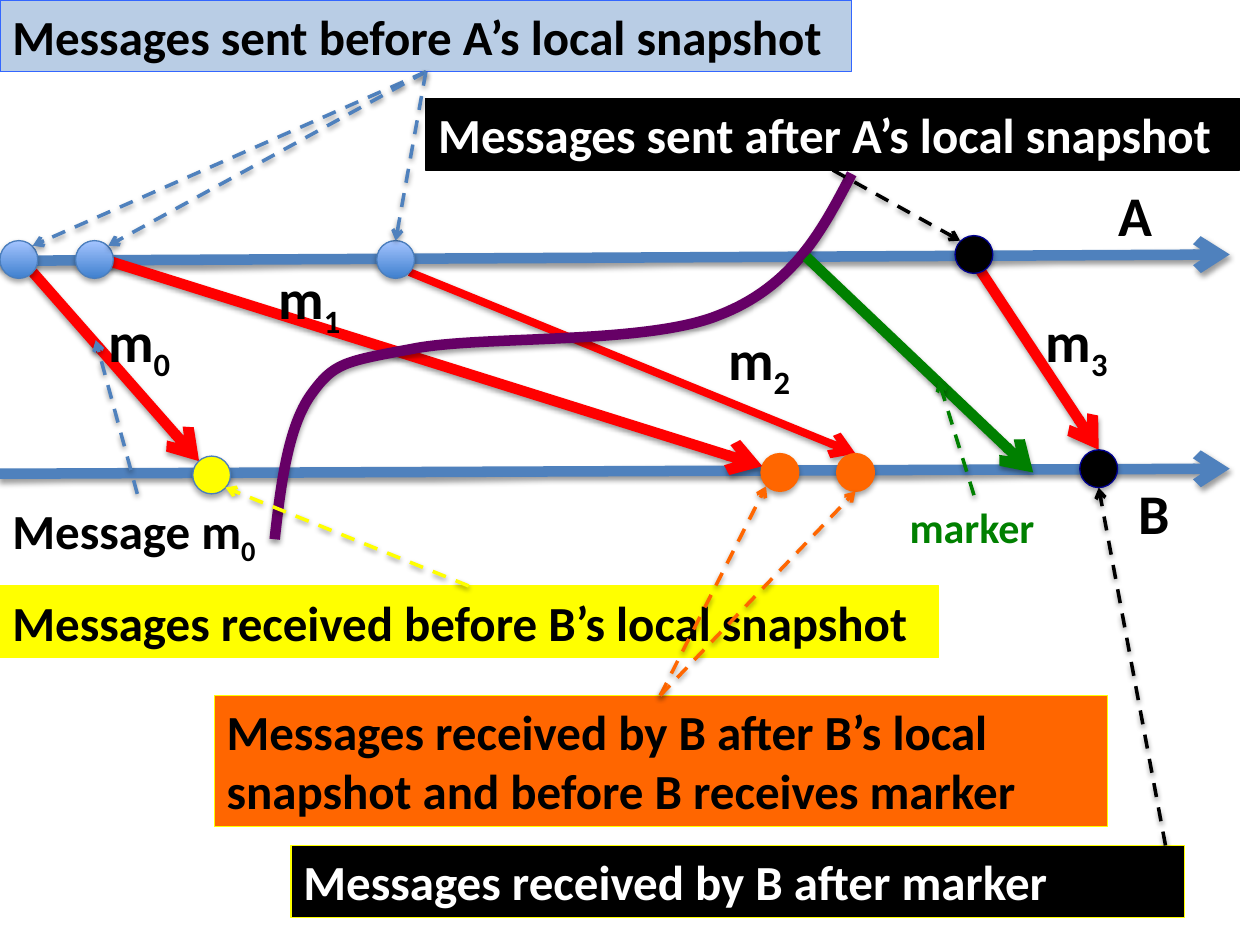
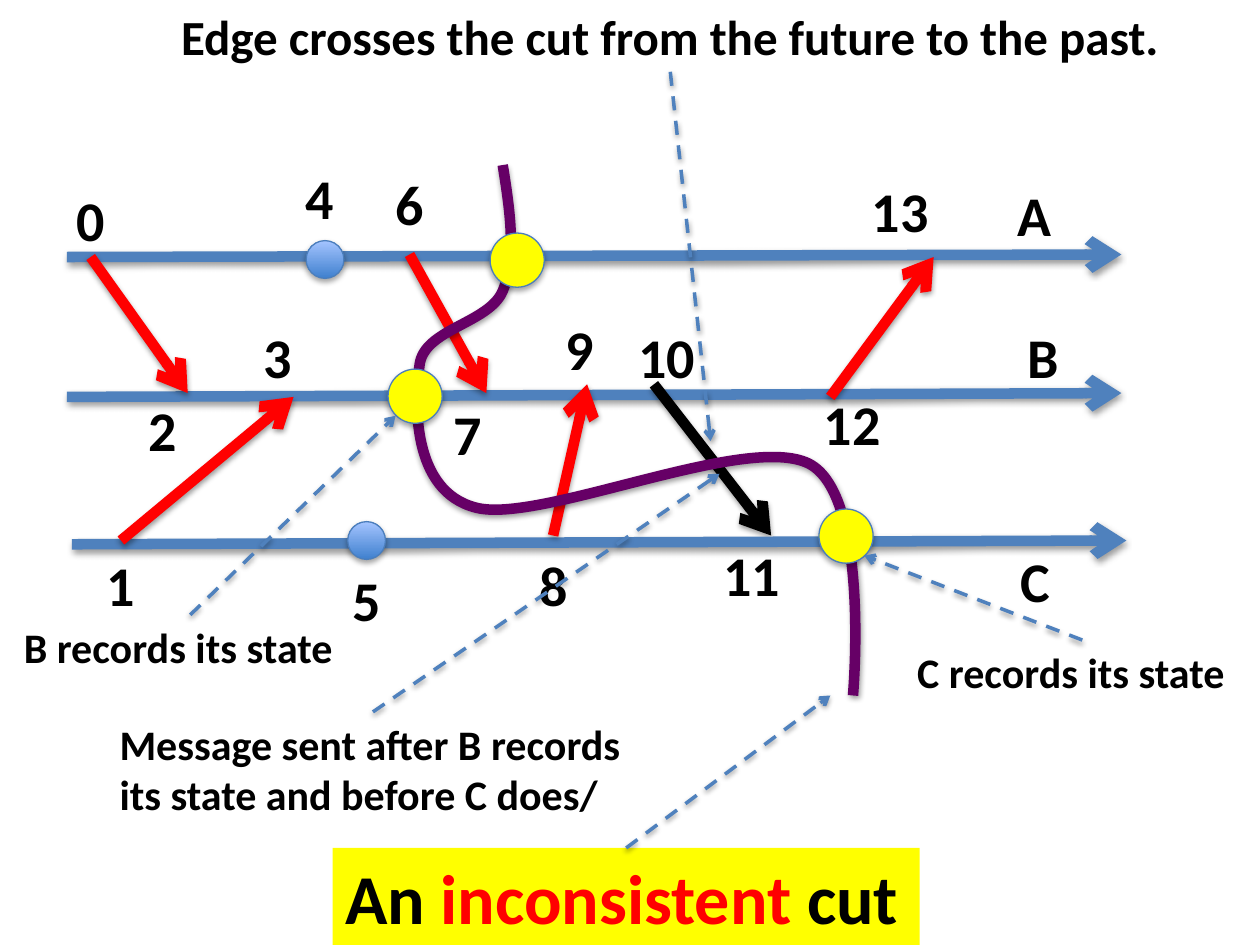
"""Build two slides on local snapshots and inconsistent cuts in message timelines."""
from lxml import etree
from pptx import Presentation
from pptx.dml.color import RGBColor
from pptx.enum.dml import MSO_LINE
from pptx.enum.shapes import MSO_CONNECTOR, MSO_SHAPE
from pptx.enum.text import MSO_AUTO_SIZE, PP_ALIGN
from pptx.oxml.ns import qn
from pptx.util import Inches, Pt

STRAIGHT = MSO_CONNECTOR.STRAIGHT
OVAL = MSO_SHAPE.OVAL
DASH = MSO_LINE.DASH
GROW = MSO_AUTO_SIZE.SHAPE_TO_FIT_TEXT
LEFT, CENTER = PP_ALIGN.LEFT, PP_ALIGN.CENTER
FONT = "Calibri"

COLORS = {
    "axis": "4F81BD", "message": "FF0000", "cut": "660066", "marker": "008000",
    "black": "000000", "white": "FFFFFF", "yellow": "FFFF00", "orange": "FF6600",
    "sent": "B9CDE5", "sent_edge": "3366FF", "dot_edge": "4B7EBC", "navy": "000090",
    "dot_low": "3F80CE", "dot_high": "A4C4FF",
}
RGB = {name: RGBColor.from_string(value) for name, value in COLORS.items()}


def add_shadow(shape, alpha, dist):
    sp_pr = shape._element.spPr
    for old in sp_pr.findall(qn("a:effectLst")):
        sp_pr.remove(old)
    effects = etree.SubElement(sp_pr, qn("a:effectLst"))
    outer = etree.SubElement(effects, qn("a:outerShdw"), blurRad="40000",
                             dist=str(dist), dir="5400000", rotWithShape="0")
    color = etree.SubElement(outer, qn("a:srgbClr"), val=COLORS["black"])
    etree.SubElement(color, qn("a:alpha"), val=str(alpha * 1000))


def add_arrow(s, x1, y1, x2, y2, color, width=6, dash=None):
    line = s.shapes.add_connector(STRAIGHT, Inches(x1), Inches(y1), Inches(x2), Inches(y2))
    line.line.color.rgb = RGB[color]
    line.line.width = Pt(width)
    if dash:
        line.line.dash_style = dash
    etree.SubElement(line.line._get_or_add_ln(), qn("a:tailEnd"), type="arrow")
    add_shadow(line, 38, 20000)


snapshot = {
    "below_cut": [
        (0, 2.07, 9.76, 2.02, "axis"), (0, 3.76, 9.76, 3.72, "axis"),
        (0.7, 2.02, 6.05, 3.7, "message"), (3.25, 2.16, 6.79, 3.6, "message", 4.5),
    ],
    "cut": [
        (2.18, 4.28), (2.23, 3.83), (2.29, 3.38), (2.47, 3.13),
        (2.65, 2.88), (2.73, 2.87), (3.27, 2.77), (3.81, 2.66), (5.13, 2.74),
        (5.71, 2.5), (6.3, 2.27), (6.53, 1.82), (6.76, 1.38),
    ],
    "above_cut": [
        (6.4, 2.04, 8.2, 3.75, "marker"), (7.73, 2.07, 8.72, 3.57, "message"),
        (0.26, 2.16, 1.58, 3.66, "message"),
    ],
    "dots": [
        (0, 1.91, 0.3, None, "dot_edge"), (0.6, 1.91, 0.3, None, "dot_edge"),
        (2.99, 1.91, 0.3, None, "dot_edge"), (7.58, 1.87, 0.3, "black", "navy"),
        (6.04, 3.6, 0.3, "orange", "orange"), (6.64, 3.6, 0.3, "orange", "orange"),
        (1.53, 3.62, 0.3, "yellow", "dot_edge"), (8.57, 3.57, 0.3, "black", "navy"),
    ],
    "labels": [
        (8.78, 1.38, "A", ""), (8.94, 3.75, "B", ""), (0.76, 2.38, "m", "0"),
        (2.11, 2.04, "m", "1"), (5.68, 2.53, "m", "2"), (8.2, 2.38, "m", "3"),
    ],
    "boxes": [
        (0, 3.92, 2.18, 0.57, 28, False, None, None, LEFT,
         [("Message m", "black", 0), ("0", "black", -25)]),
        (0, 0, 6.76, 0.57, 28, False, "sent", "sent_edge", LEFT,
         [("Messages sent before A’s local snapshot", "black", 0)]),
        (3.38, 0.78, 6.46, 0.57, 28, False, "black", "black", LEFT,
         [("Messages sent after A’s local snapshot", "white", 0)]),
        (0, 4.65, 7.45, 0.57, 28, False, "yellow", "yellow", LEFT,
         [("Messages received before B’s local snapshot", "black", 0)]),
        (1.7, 5.52, 7.09, 1.04, 28, True, "orange", "yellow", LEFT,
         [("Messages received by B after B’s local snapshot and before B receives marker",
           "black", 0)]),
        (2.31, 6.71, 7.09, 0.57, 28, True, "black", "yellow", LEFT,
         [("Messages received by B after marker", "white", 0)]),
        (7.12, 3.93, 1.21, 0.5, 24, False, None, None, LEFT, [("marker", "marker", 0)]),
    ],
    "pointers": [
        (1.09, 3.92, 0.76, 2.7, "axis"), (3.38, 0.57, 0.26, 1.95, "axis"),
        (3.38, 0.57, 0.86, 1.95, "axis"), (3.38, 0.57, 3.14, 1.91, "axis"),
        (6.61, 1.35, 7.62, 1.91, "black"), (3.72, 4.65, 1.79, 3.87, "yellow"),
        (5.24, 5.52, 6.08, 3.86, "orange"), (5.24, 5.52, 6.79, 3.9, "orange"),
        (9.25, 6.71, 8.72, 3.87, "black"), (7.73, 3.93, 7.45, 3.02, "marker"),
    ],
}

inconsistent = {
    "below_cut": [
        (0.53, 2.04, 8.9, 2.02, "axis"), (0.53, 3.15, 8.9, 3.12, "axis"),
        (3.25, 2.02, 3.86, 3.12, "message"), (5.19, 3.05, 6.12, 4.25, "black"),
        (6.59, 3.15, 7.41, 2.04, "message"), (0.72, 2.04, 1.49, 3.12, "message"),
        (0.57, 4.32, 8.94, 4.29, "axis"), (0.96, 4.29, 2.33, 3.15, "message"),
        (4.39, 4.25, 4.66, 3.05, "message"),
    ],
    "cut": [
        (3.99, 1.31), (4.05, 1.68), (4.1, 2.04), (3.99, 2.31),
        (3.88, 2.57), (3.36, 2.61), (3.33, 2.9), (3.29, 3.18), (3.26, 3.9),
        (3.78, 4.03), (4.29, 4.16), (5.92, 3.43), (6.42, 3.68),
        (6.91, 3.93), (6.77, 5.52), (6.77, 5.52),
    ],
    "above_cut": [],
    "dots": [
        (2.43, 1.91, 0.3, None, "dot_edge"), (2.76, 4.14, 0.3, None, "dot_edge"),
        (3.08, 2.93, 0.43, "yellow", "dot_edge"), (3.89, 1.85, 0.43, "yellow", "dot_edge"),
        (6.5, 4.04, 0.43, "yellow", "dot_edge"),
    ],
    "labels": [
        (7.98, 1.38, "A", ""), (8.06, 2.51, "B", ""), (8, 4.29, "C", ""),
        (0.51, 1.42, "0", ""), (0.75, 4.32, "1", ""), (1.08, 3.09, "2", ""),
        (1.99, 2.51, "3", ""), (2.33, 1.25, "4", ""), (2.7, 4.44, "5", ""),
        (3.04, 1.3, "6", ""), (3.5, 3.12, "7", ""), (4.18, 4.32, "8", ""),
        (4.39, 2.45, "9", ""), (4.97, 2.51, "10", ""), (5.64, 4.24, "11", ""),
        (6.44, 3.04, "12", ""), (6.82, 1.35, "13", ""),
    ],
    "boxes": [
        (2.64, 6.73, 4.66, 0.77, 40, False, "yellow", None, LEFT,
         [("An ", "black", 0), ("inconsistent", "message", 0), (" cut", "black", 0)]),
        (1.08, 0, 8.47, 0.57, 28, True, None, None, CENTER,
         [("Edge crosses the cut from the future to the past.", "black", 0)]),
        (7.18, 5.08, 2.82, 0.5, 24, True, None, None, LEFT,
         [("C records its state", "black", 0)]),
        (0.85, 5.65, 4.22, 0.91, 24, True, None, None, LEFT,
         [("Message sent after B records its state and before C does/", "black", 0)]),
        (0.09, 4.88, 2.82, 0.5, 24, True, None, None, LEFT,
         [("B records its state", "black", 0)]),
    ],
    "pointers": [
        (4.97, 6.73, 6.59, 5.52, "axis"), (5.32, 0.57, 5.64, 3.5, "axis"),
        (8.59, 5.08, 6.86, 4.41, "axis"), (2.96, 5.65, 5.71, 3.76, "axis"),
        (1.51, 4.88, 3.14, 3.3, "axis"),
    ],
}

prs = Presentation()
prs.slide_width, prs.slide_height = Inches(10), Inches(7.5)

for diagram in (snapshot, inconsistent):
    s = prs.slides.add_slide(prs.slide_layouts[6])

    for arrow in diagram["below_cut"]:
        add_arrow(s, *arrow)

    points = [(Inches(x), Inches(y)) for x, y in diagram["cut"]]
    builder = s.shapes.build_freeform(*points[0])
    builder.add_line_segments(points[1:], close=False)
    cut = builder.convert_to_shape()
    cut.fill.background()
    cut.line.color.rgb = RGB["cut"]
    cut.line.width = Pt(6)
    segments = list(cut._element.iter(qn("a:lnTo")))
    for i in range(0, len(segments), 3):
        bezier = etree.Element(qn("a:cubicBezTo"))
        segments[i].addprevious(bezier)
        for segment in segments[i:i + 3]:
            bezier.append(segment[0])
            segment.getparent().remove(segment)
    add_shadow(cut, 38, 20000)

    for arrow in diagram["above_cut"]:
        add_arrow(s, *arrow)

    for x, y, size, fill, edge in diagram["dots"]:
        sp = s.shapes.add_shape(OVAL, Inches(x), Inches(y), Inches(size), Inches(size))
        if fill:
            sp.fill.solid()
            sp.fill.fore_color.rgb = RGB[fill]
        else:
            sp.fill.gradient()
            sp.fill.gradient_angle = 90
            for stop, name in zip(sp.fill.gradient_stops, ("dot_low", "dot_high")):
                stop.color.rgb = RGB[name]
        sp.line.color.rgb = RGB[edge]
        sp.line.width = Pt(0.75)
        add_shadow(sp, 35, 23000)

    texts = []
    for x, y, text, sub in diagram["labels"]:
        width = 0.72 if sub else 0.46 if text.isalpha() else 0.2 + 0.23 * len(text)
        runs = [(text, "black", 0)] + ([(sub, "black", -25)] if sub else [])
        texts.append((x, y, width, 0.64, 32, False, None, None, LEFT, runs))

    for x, y, w, h, size, wrap, fill, edge, align, runs in texts + diagram["boxes"]:
        sp = s.shapes.add_textbox(Inches(x), Inches(y), Inches(w), Inches(h))
        if fill:
            sp.fill.solid()
            sp.fill.fore_color.rgb = RGB[fill]
        if edge:
            sp.line.color.rgb = RGB[edge]
            sp.line.width = Pt(0.75)
        tf = sp.text_frame
        tf.word_wrap = wrap
        tf.auto_size = GROW
        p = tf.paragraphs[0]
        p.alignment = align
        for text, color, baseline in runs:
            r = p.add_run()
            r.text = text
            r.font.name = FONT
            r.font.size = Pt(size)
            r.font.bold = True
            r.font.color.rgb = RGB[color]
            if baseline:
                r.font._element.set("baseline", str(baseline * 1000))

    for pointer in diagram["pointers"]:
        add_arrow(s, *pointer, width=2, dash=DASH)

prs.save("out.pptx")
